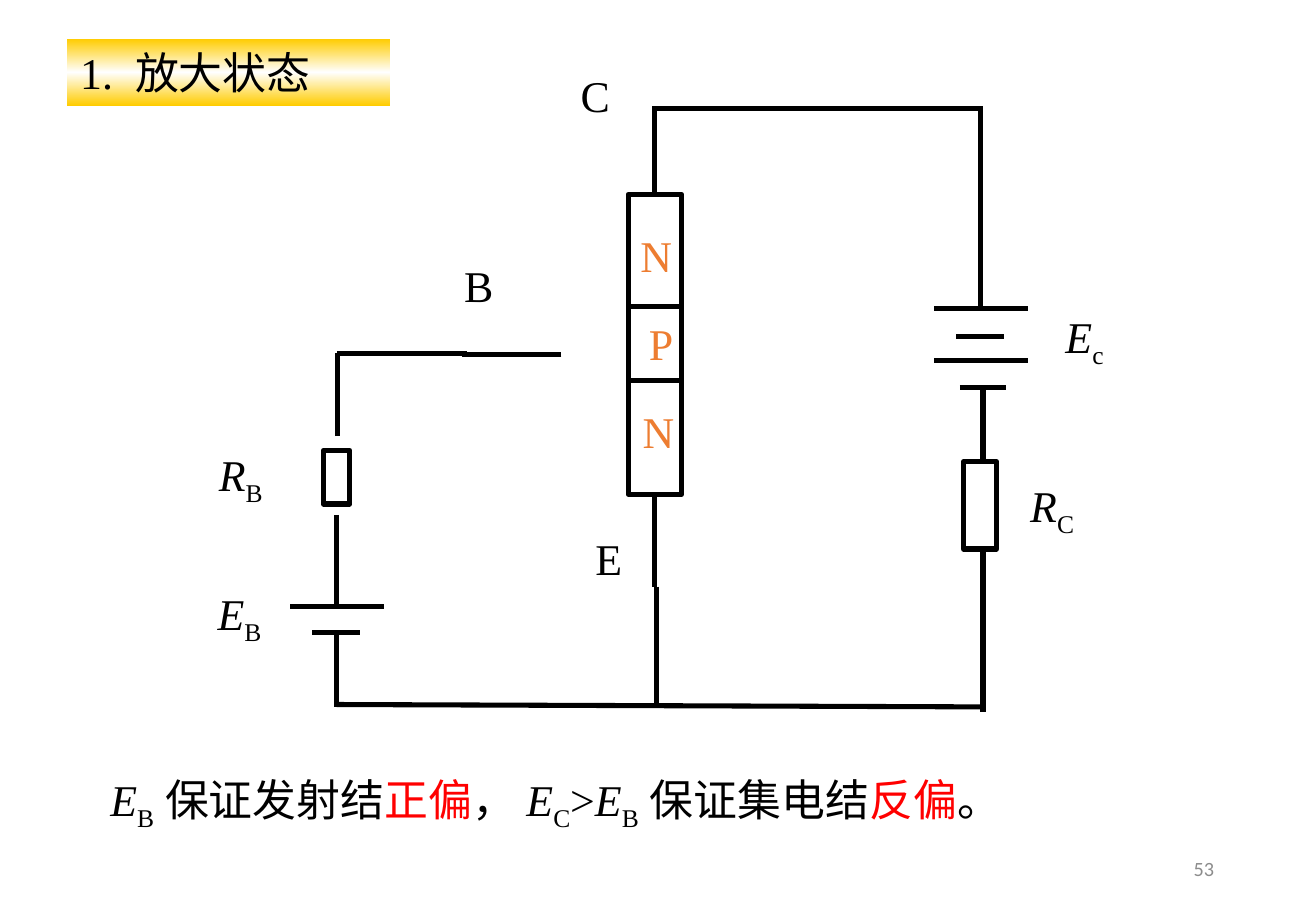
from copy import deepcopy

from pptx import Presentation
from pptx import util as u
from pptx.dml.color import RGBColor
from pptx.enum import shapes, text
from pptx.oxml import ns
from pptx.oxml.xmlchemy import OxmlElement

BLACK = RGBColor(0x00, 0x00, 0x00)
WHITE = RGBColor(0xFF, 0xFF, 0xFF)
GOLD = RGBColor(0xFF, 0xCC, 0x00)
ORANGE = RGBColor(0xED, 0x7D, 0x31)
RED = RGBColor(0xFF, 0x00, 0x00)
GREY = RGBColor(0x8C, 0x8C, 0x8C)
LEFT, CENTER, RIGHT = text.PP_ALIGN.LEFT, text.PP_ALIGN.CENTER, text.PP_ALIGN.RIGHT
TOP, MIDDLE = text.MSO_ANCHOR.TOP, text.MSO_ANCHOR.MIDDLE


def px(n):
    """Convert px to EMU, at 100 px to the inch."""
    return u.Emu(n * 9144)


class Circuit:
    font, size, stroke = "Times New Roman", 26, u.Pt(3)

    def __init__(self, slide):
        self.s = slide

    def wire(self, x1, y1, x2, y2):
        c = self.s.shapes.add_connector(
            shapes.MSO_CONNECTOR.STRAIGHT, px(x1), px(y1), px(x2), px(y2))
        c.line.color.rgb = BLACK
        c.line.width = self.stroke
        c._element.spPr.append(OxmlElement("a:effectLst"))

    def rect(self, x, y, w, h):
        sp = self.s.shapes.add_shape(
            shapes.MSO_SHAPE.RECTANGLE, px(x), px(y), px(w), px(h))
        sp.shadow.inherit = False
        return sp

    def box(self, x, y, w, h, fill=None):
        sp = self.rect(x, y, w, h)
        if fill is None:
            sp.fill.background()
        else:
            sp.fill.solid()
            sp.fill.fore_color.rgb = fill
        sp.line.color.rgb = BLACK
        sp.line.width = self.stroke

    def banner(self, x, y, w, h, parts):
        sp = self.rect(x, y, w, h)
        sp.line.fill.background()
        sp.fill.gradient()
        sp.fill.gradient_angle = 90
        stops = sp._element.spPr.find(".//" + ns.qn("a:gsLst"))
        stops.insert(1, deepcopy(stops[0]))
        for i, (stop, color) in enumerate(zip(sp.fill.gradient_stops, (GOLD, WHITE, GOLD))):
            stop.position = i / 2
            stop.color.rgb = color
        self.set_text(sp.text_frame, parts, LEFT, MIDDLE, pad=11)

    def label(self, x, y, w, h, parts, align=CENTER, anchor=MIDDLE, wrap=True, **style):
        tf = self.s.shapes.add_textbox(px(x), px(y), px(w), px(h)).text_frame
        self.set_text(tf, parts, align, anchor, wrap, **style)

    def set_text(self, tf, parts, align, anchor, wrap=True, pad=10,
                 color=BLACK, font=None, size=None):
        """Fill a frame with (text, style) parts; style is "", "i", "sub", "red" or "wide"."""
        tf.word_wrap = wrap
        tf.vertical_anchor = anchor
        tf.margin_left = tf.margin_right = px(pad)
        tf.margin_top = tf.margin_bottom = px(5)
        p = tf.paragraphs[0]
        p.alignment = align
        for content, style in parts:
            r = p.add_run()
            r.text = content
            r.font.name = font or self.font
            r.font.size = u.Pt(size or self.size)
            r.font.italic = style == "i"
            r.font.color.rgb = RED if style == "red" else color
            if style == "sub":
                r.font._element.set("baseline", "-25000")
            elif style == "wide":
                r.font._element.set("spc", "650")


def symbol(letter, index):
    return [(letter, "i"), (index, "sub")]


def main():
    prs = Presentation()
    prs.slide_width, prs.slide_height = px(1083), px(750)
    c = Circuit(prs.slides.add_slide(prs.slide_layouts[6]))

    c.banner(55, 32, 266, 55, [("1.", ""), (" ", "wide"), ("放大状态", "")])

    # Transistor
    for y, h in ((313, 94), (160, 92), (252, 61)):
        c.box(517, y, 44, h)
    for name, x, y, w in (("B", 371, 207, 46), ("E", 478, 432, 46), ("C", 466, 51, 48)):
        c.label(x, y, w, 55, [(name, "")], wrap=False)
    for name, x, y in (("N", 512, 182), ("N", 514, 327), ("P", 516, 255)):
        c.label(x, y, 56, 55, [(name, "")], color=ORANGE)

    wires = (
        # Collector, emitter and base leads
        (539, 160, 539, 87), (539, 409, 539, 483), (540, 483, 540, 582),
        (462, 292, 380, 292), (384, 291, 277, 291),
        # Top and bottom rails
        (541, 89, 809, 89), (277, 580, 810, 582),
        # Base branch
        (278, 359, 278, 291), (277, 424, 277, 499), (277, 521, 277, 582),
        (239, 499, 316, 499), (257, 521, 296, 521),
        # Collector branch
        (807, 90, 807, 254), (809, 318, 809, 586),
        (769, 254, 846, 254), (787, 277, 826, 277),
        (769, 297, 846, 297), (790, 319, 828, 319),
    )
    for ends in wires:
        c.wire(*ends)

    # Resistors and source names
    c.box(266, 371, 22, 44)
    c.box(793, 380, 27, 72, WHITE)
    for letter, index, x, y, w in (("E", "B", 166, 480, 62), ("R", "B", 167, 366, 62),
                                   ("E", "c", 864, 252, 57)):
        c.label(x, y, w, 55, symbol(letter, index), wrap=False)
    c.label(838, 389, 90, 54, symbol("R", "C"), LEFT, TOP)

    c.label(81, 631, 879, 54, [
        *symbol("E", "B"), (" 保证发射结", ""), ("正偏", "red"), ("， ", ""),
        *symbol("E", "C"), (">", ""), *symbol("E", "B"),
        (" 保证集电结", ""), ("反偏", "red"), ("。", ""),
    ], LEFT, TOP)
    c.label(765, 695, 244, 40, [("53", "")], RIGHT, color=GREY, font="Calibri", size=12)

    prs.save("out.pptx")


if __name__ == "__main__":
    main()
